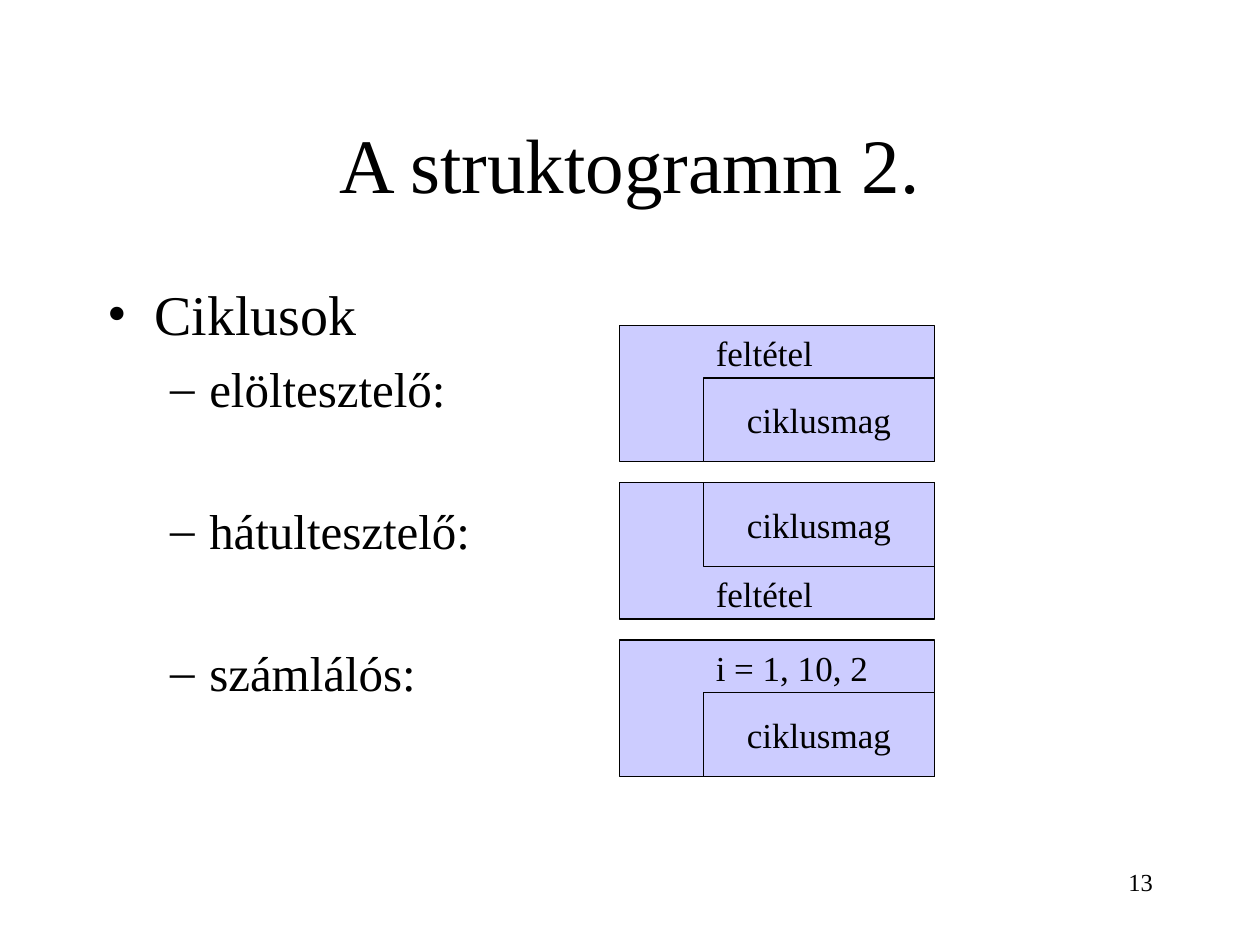
import pptx
import pptx.dml.color
import pptx.enum.shapes
import pptx.enum.text
import pptx.oxml
import pptx.oxml.ns
import pptx.util

Cm = pptx.util.Cm
Pt = pptx.util.Pt
ALIGN = pptx.enum.text.PP_ALIGN
ANCHOR = pptx.enum.text.MSO_ANCHOR
BLACK = pptx.dml.color.RGBColor(0, 0, 0)
LAVENDER = pptx.dml.color.RGBColor(0xCC, 0xCC, 0xFF)
FONT = "Times New Roman"


def write(para, text, size, align=ALIGN.LEFT):
    para.text = text
    para.alignment = align
    para.font.name = FONT
    para.font.size = Pt(size)
    para.font.color.rgb = BLACK


def add_block(page, left, top, width, height):
    block = page.shapes.add_shape(
        pptx.enum.shapes.MSO_SHAPE.RECTANGLE, Cm(left), Cm(top), Cm(width), Cm(height))
    block.shadow.inherit = False
    block.fill.solid()
    block.fill.fore_color.rgb = LAVENDER
    block.line.color.rgb = BLACK
    block.line.width = Pt(0.75)
    return block


deck = pptx.Presentation()
deck.slide_width = Cm(25.4)
deck.slide_height = Cm(19.05)
page = deck.slides.add_slide(deck.slide_layouts[6])

number = page.shapes.add_textbox(Cm(18.21), Cm(17.35), Cm(5.28), Cm(1.27)).text_frame
number.word_wrap = True
write(number.paragraphs[0], "13", 14, ALIGN.RIGHT)

title = page.shapes.add_textbox(Cm(1.9), Cm(1.7), Cm(21.6), Cm(3.18)).text_frame
title.word_wrap = True
title.vertical_anchor = ANCHOR.MIDDLE
write(title.paragraphs[0], "A struktogramm 2.", 44, ALIGN.CENTER)

body = page.shapes.add_textbox(Cm(1.91), Cm(5.51), Cm(21.59), Cm(11.43)).text_frame
body.word_wrap = True
items = [
    ("Ciklusok", 0, 0),
    ("elöltesztelő:", 1, 7),
    ("hátultesztelő:", 1, 47.5),
    ("számlálós:", 1, 47.5),
]
levels = [("•", 32, 0.95, 0.95), ("–", 28, 2.06, 0.79)]
for index, (text, level, gap) in enumerate(items):
    mark, size, margin, hanging = levels[level]
    para = body.paragraphs[0] if index == 0 else body.add_paragraph()
    para.level = level
    para.space_before = Pt(gap)
    properties = para._p.get_or_add_pPr()
    properties.set("marL", str(Cm(margin)))
    properties.set("indent", str(-Cm(hanging)))
    for tag in (f'buFont typeface="{FONT}"', f'buChar char="{mark}"'):
        properties.append(pptx.oxml.parse_xml(
            f'<a:{tag} {pptx.oxml.ns.nsdecls("a")}/>'))
    write(para, text, size)

loop_left, core_left = 12.49, 14.18
loop_width, loop_height, core_height = 6.35, 2.75, 1.69
core_width = loop_left + loop_width - core_left
header_height = loop_height - core_height
loops = [
    ("feltétel", 2.6, header_height, 0),
    ("feltétel", 2.6, 0, core_height),
    ("i = 1, 10, 2", 3.7, header_height, 0),
]
for index, (condition, label_width, core_offset, label_offset) in enumerate(loops):
    top = 6.56 + 3.17 * index
    add_block(page, loop_left, top, loop_width, loop_height)
    core = add_block(page, core_left, top + core_offset, core_width, core_height).text_frame
    core.word_wrap = False
    core.vertical_anchor = ANCHOR.MIDDLE
    write(core.paragraphs[0], "ciklusmag", 20, ALIGN.CENTER)
    label = page.shapes.add_textbox(
        Cm(core_left), Cm(top + label_offset), Cm(label_width), Cm(1.12)).text_frame
    label.word_wrap = True
    write(label.paragraphs[0], condition, 20)

deck.save("out.pptx")
